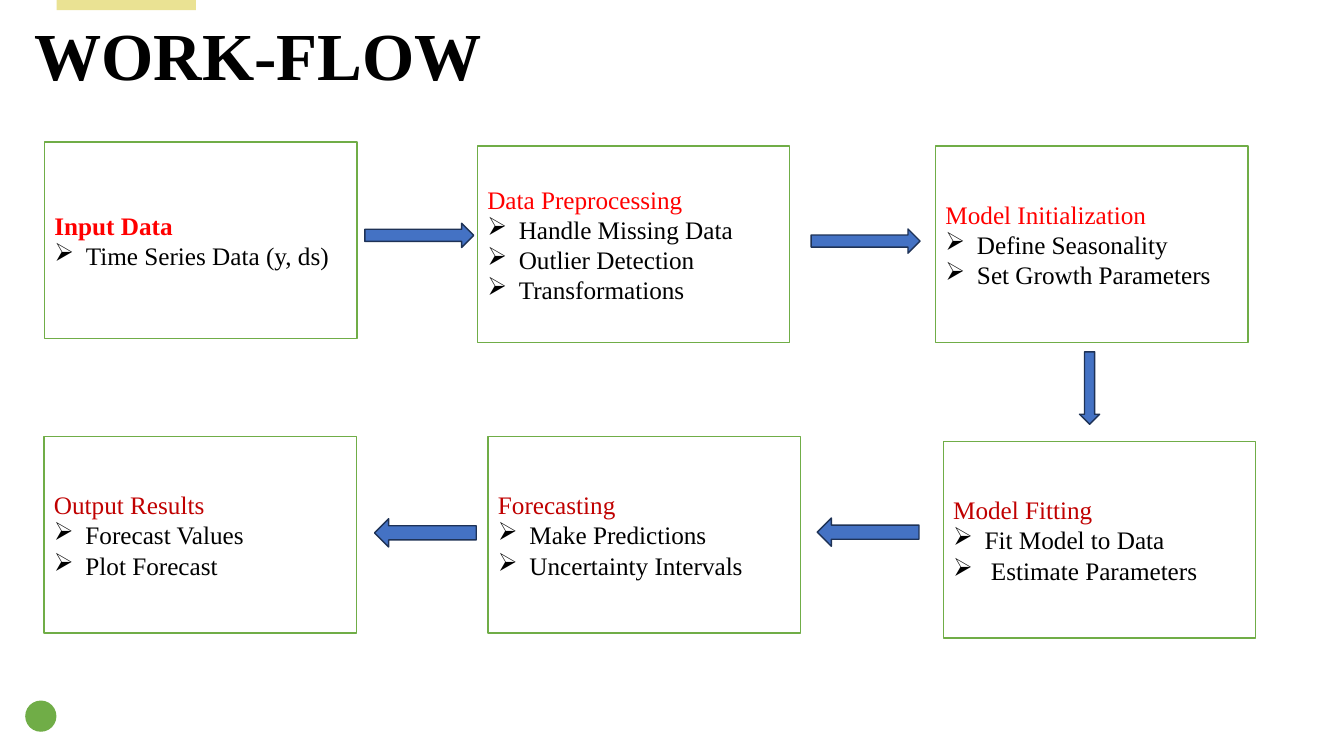
import pptx
import pptx.util
import pptx.dml.color
import pptx.enum.shapes
import pptx.enum.text
import pptx.oxml.ns
import lxml.etree

Pt = pptx.util.Pt
SHAPE = pptx.enum.shapes.MSO_SHAPE
ALIGN = pptx.enum.text.PP_ALIGN
ANCHOR = pptx.enum.text.MSO_ANCHOR

COLORS = {
    "white": "FFFFFF",
    "black": "000000",
    "sand": "EAE293",
    "green": "70AD47",
    "blue": "4472C4",
    "navy": "1E3256",
    "red": "FF0000",
    "dark_red": "C00000",
}


class Workflow:
    font = "Times New Roman"
    body_size = 18
    step_width, step_height = 223.2, 140.4
    bullet_indent = 22.5

    def __init__(self, page):
        self.page = page

    def color(self, name):
        return pptx.dml.color.RGBColor.from_string(COLORS[name])

    def shape(self, kind, left, top, width, height, fill, line=None):
        shape = self.page.shapes.add_shape(kind, Pt(left), Pt(top), Pt(width), Pt(height))
        shape.shadow.inherit = False
        shape.fill.solid()
        shape.fill.fore_color.rgb = self.color(fill)
        if line:
            shape.line.color.rgb = self.color(line)
            shape.line.width = Pt(1)
        else:
            shape.line.fill.background()
        return shape

    def arrow(self, kind, left, top, width, height):
        self.shape(kind, left, top, width, height, "blue", "navy")

    def span(self, para, text, size, color, bold=False):
        span = para.add_run()
        span.text = text
        span.font.name = self.font
        span.font.size = Pt(size)
        span.font.bold = bold
        span.font.color.rgb = self.color(color)

    def bullet(self, para):
        properties = para._p.get_or_add_pPr()
        properties.set("marL", str(Pt(self.bullet_indent)))
        properties.set("indent", str(-Pt(self.bullet_indent)))
        mark = lxml.etree.SubElement(properties, pptx.oxml.ns.qn("a:buChar"))
        mark.set("char", "➢")

    def step(self, left, top, heading, items, color, bold=False):
        box = self.shape(SHAPE.RECTANGLE, left, top, self.step_width, self.step_height,
                         "white", "green")
        frame = box.text_frame
        frame.word_wrap = True
        frame.vertical_anchor = ANCHOR.MIDDLE
        para = frame.paragraphs[0]
        para.alignment = ALIGN.JUSTIFY
        self.span(para, heading, self.body_size, color, bold)
        for item in items:
            para = frame.add_paragraph()
            para.alignment = ALIGN.JUSTIFY
            self.bullet(para)
            self.span(para, item, self.body_size, "black")

    def title(self, left, top, width, height, text):
        box = self.page.shapes.add_textbox(Pt(left), Pt(top), Pt(width), Pt(height))
        frame = box.text_frame
        frame.word_wrap = True
        frame.auto_size = pptx.enum.text.MSO_AUTO_SIZE.SHAPE_TO_FIT_TEXT
        self.span(frame.paragraphs[0], text, 48, "black", bold=True)


def main():
    deck = pptx.Presentation()
    deck.slide_width, deck.slide_height = Pt(960), Pt(540)
    flow = Workflow(deck.slides.add_slide(deck.slide_layouts[6]))

    # Decoration
    flow.shape(SHAPE.RECTANGLE, 40.5, -1.4, 99.4, 8.6, "sand")
    flow.shape(SHAPE.OVAL, 18, 500.4, 22.3, 22.3, "green")

    # Steps, in order of the flow
    steps = [
        (31.8, 101.3, "Input Data", ["Time Series Data (y, ds)"], "red", True),
        (341, 104.4, "Data Preprocessing",
         ["Handle Missing Data", "Outlier Detection", "Transformations"], "red"),
        (668.3, 104.4, "Model Initialization",
         ["Define Seasonality", "Set Growth Parameters"], "red"),
        (673.8, 315.4, "Model Fitting",
         ["Fit Model to Data", " Estimate Parameters"], "dark_red"),
        (348.6, 311.8, "Forecasting",
         ["Make Predictions", "Uncertainty Intervals"], "dark_red"),
        (31.5, 311.8, "Output Results",
         ["Forecast Values", "Plot Forecast"], "dark_red"),
    ]
    for step in steps:
        flow.step(*step)

    # Arrows between the steps
    for left, top in [(260.6, 159.5), (579.4, 163.6)]:
        flow.arrow(SHAPE.RIGHT_ARROW, left, top, 77.8, 17.3)
    flow.arrow(SHAPE.DOWN_ARROW, 771.1, 251.3, 14.4, 51.8)
    for left, top in [(583.7, 370), (267.5, 370.5)]:
        flow.arrow(SHAPE.LEFT_ARROW, left, top, 72.7, 20.2)

    # Title
    flow.title(17.3, 5.8, 414, 65.5, "WORK-FLOW")

    deck.save("out.pptx")


if __name__ == "__main__":
    main()
